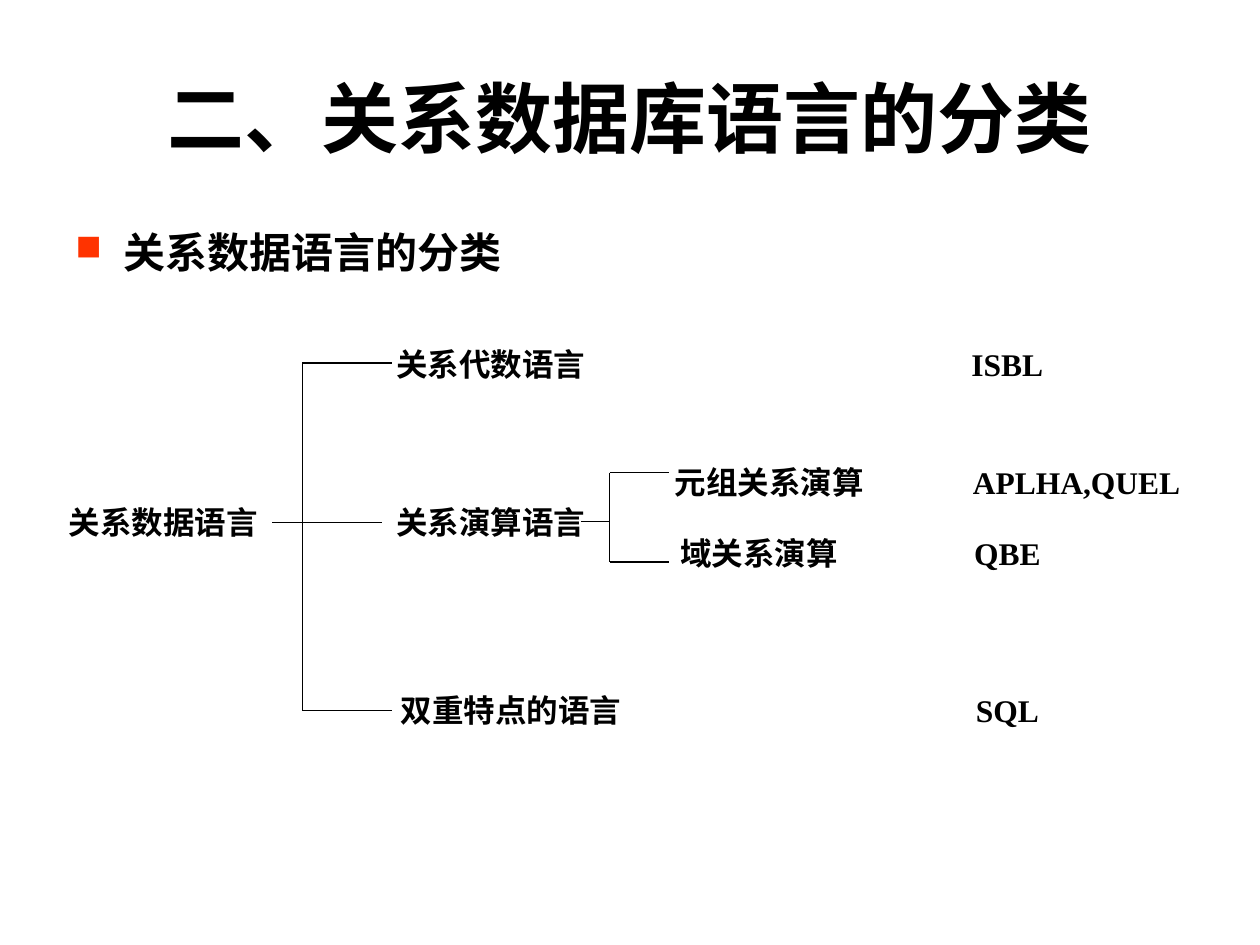
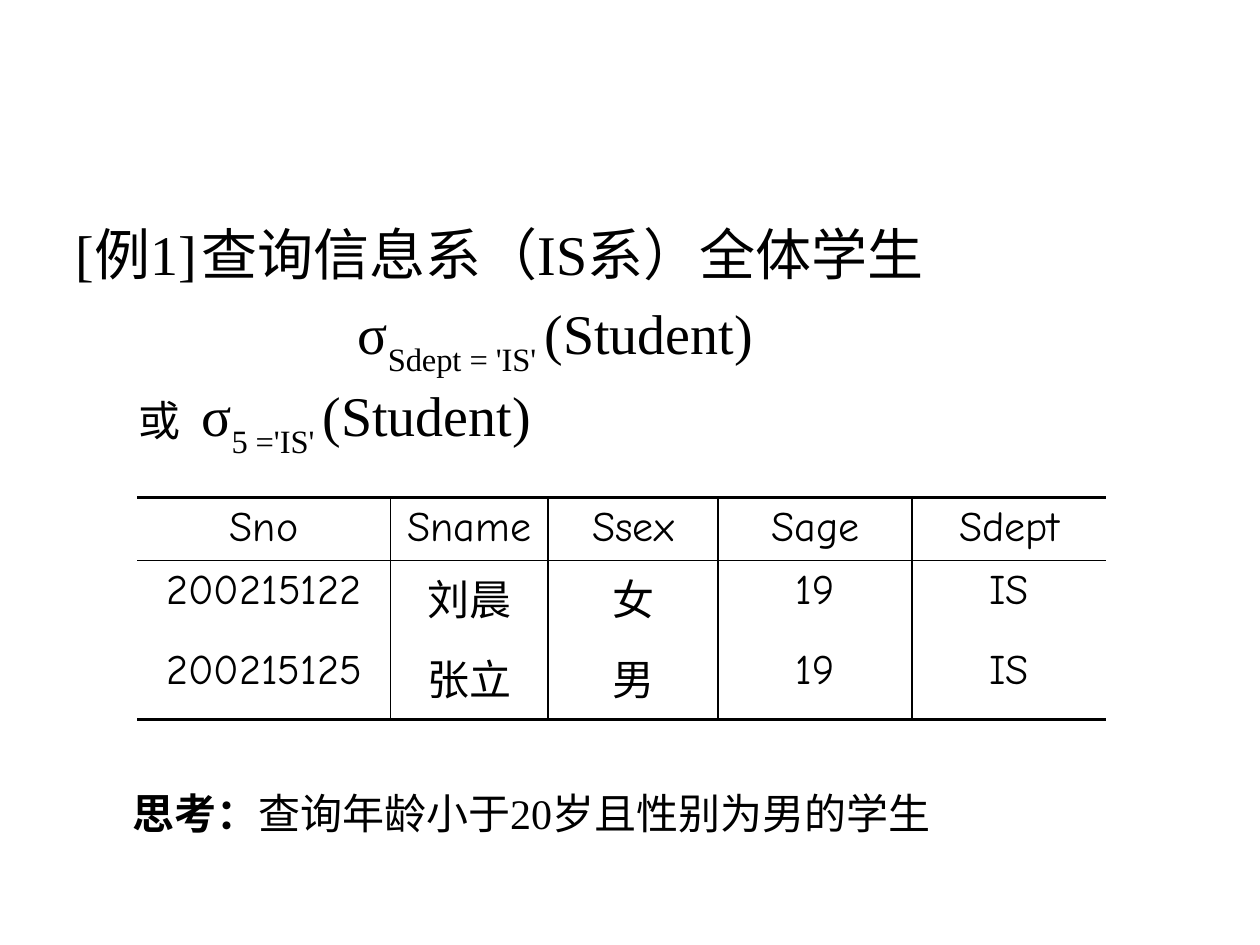
from lxml import etree
from pptx import Presentation
from pptx import util as u
from pptx.dml.color import RGBColor
from pptx.enum import shapes, text
from pptx.oxml import ns

BLACK = RGBColor(0x00, 0x00, 0x00)
BULLET_RED = RGBColor(0xFF, 0x33, 0x00)
SERIF, SANS, HAND = "Times New Roman", "Arial", "Comic Neue"
NO_TABLE_STYLE = "{2D5ABB26-0587-4C30-8999-92F81FD0307C}"
SUBSCRIPT = "-30000"

TITLE = "二、关系数据库语言的分类"
TOPIC = "关系数据语言的分类"
ROOT, CALCULUS = "关系数据语言", "关系演算语言"
LABEL_WIDTH, WIDE_LABEL, LABEL_HEIGHT = 1.73, 1.93, 0.63
LABELS = [
    (ROOT, 0.43, 3.83, LABEL_WIDTH),
    ("关系代数语言", 3.03, 2.57, LABEL_WIDTH),
    (CALCULUS, 3.03, 3.83, LABEL_WIDTH),
    ("双重特点的语言", 3.09, 5.32, WIDE_LABEL),
    ("元组关系演算", 5.24, 3.51, LABEL_WIDTH),
    ("域关系演算", 5.16, 4.07, LABEL_WIDTH),
    ("ISBL", 7.13, 2.57, LABEL_WIDTH),
    ("APLHA,QUEL", 7.58, 3.51, WIDE_LABEL),
    ("QBE", 7.13, 4.07, LABEL_WIDTH),
    ("SQL", 7.13, 5.32, LABEL_WIDTH),
]
BRACKETS = [(2.4, 3.11, 2.88, 5.64), (4.84, 5.31, 3.75, 4.46)]
CALCULUS_STEM = (4.61, 4.14, 4.84, 4.14)

EXAMPLE = [
    (0, [1.5], [("[例1]\t查询信息系（IS系）全体学生", 32, None)]),
    (2.24, [], [("σ", 32, None), ("Sdept = 'IS' ", 32, SUBSCRIPT),
                ("(Student)", 32, None)]),
    (0, [1.37, 2.32], [("\t或", 24, None), ("\tσ", 32, None),
                       ("5 ='IS' ", 32, SUBSCRIPT), ("(Student)", 32, None)]),
]
STUDENTS = [
    ("Sno", "Sname", "Ssex", "Sage", "Sdept"),
    ("200215122", "刘晨", "女", "19", "IS"),
    ("200215125", "张立", "男", "19", "IS"),
]
COLUMN_WIDTHS = (2.01, 1.25, 1.35, 1.54, 1.54)
ROW_HEIGHTS = (0.48, 0.63, 0.63)
EXERCISE = [("思考：", True), ("查询年龄小于20岁且性别为男的学生", False)]


def style(font, size, name=SERIF, bold=False):
    font.size, font.name, font.bold = u.Pt(size), name, bold
    font.color.rgb = BLACK


def add_text_frame(slide, left, top, width, height):
    box = slide.shapes.add_textbox(*map(u.Inches, (left, top, width, height)))
    box.text_frame.word_wrap = True
    return box, box.text_frame


def add_line(slide, x1, y1, x2, y2):
    line = slide.shapes.add_connector(
        shapes.MSO_CONNECTOR.STRAIGHT, *map(u.Inches, (x1, y1, x2, y2)))
    line.line.color.rgb = BLACK
    line.line.width = u.Pt(0.75)
    etree.SubElement(line._element.spPr, ns.qn("a:effectLst"))
    return line


def set_indent(paragraph, margin, first, tabs=()):
    props = paragraph._p.get_or_add_pPr()
    props.set("marL", str(u.Inches(margin)))
    props.set("indent", str(u.Inches(first)))
    if tabs:
        stops = etree.SubElement(props, ns.qn("a:tabLst"))
        for stop in tabs:
            etree.SubElement(stops, ns.qn("a:tab"), pos=str(u.Inches(stop)), algn="l")


def add_bullet(paragraph):
    props = paragraph._p.get_or_add_pPr()
    colour = etree.SubElement(props, ns.qn("a:buClr"))
    etree.SubElement(colour, ns.qn("a:srgbClr"), val=str(BULLET_RED))
    etree.SubElement(props, ns.qn("a:buSzPct"), val="85000")
    etree.SubElement(props, ns.qn("a:buChar"), char="■")


def set_borders(cell, widths):
    props = cell._tc.get_or_add_tcPr()
    for side in ("L", "R", "T", "B"):
        width = widths.get(side, 0)
        border = etree.SubElement(props, ns.qn(f"a:ln{side}"), w=str(u.Pt(width)))
        if width:
            fill = etree.SubElement(border, ns.qn("a:solidFill"))
            etree.SubElement(fill, ns.qn("a:srgbClr"), val=str(BLACK))
        else:
            etree.SubElement(border, ns.qn("a:noFill"))


def build_classification(slide):
    title = slide.shapes.title
    title.left, title.top, title.width, title.height = map(
        u.Inches, (0.5, 0.3, 9, 1.25))
    title.text_frame.text = TITLE
    title.text_frame.vertical_anchor = text.MSO_ANCHOR.MIDDLE
    heading = title.text_frame.paragraphs[0]
    heading.alignment = text.PP_ALIGN.CENTER
    style(heading.font, 44, SANS, True)

    _, frame = add_text_frame(slide, 0.5, 1.75, 9, 0.6)
    topic = frame.paragraphs[0]
    topic.text = TOPIC
    topic.space_before = u.Pt(4.8)
    set_indent(topic, 0.38, -0.38)
    add_bullet(topic)
    style(topic.font, 24, bold=True)

    nodes = {}
    for label, left, top, width in LABELS:
        nodes[label], frame = add_text_frame(slide, left, top, width, LABEL_HEIGHT)
        frame.margin_left = frame.margin_right = 0
        frame.vertical_anchor = text.MSO_ANCHOR.MIDDLE
        frame.text = label
        frame.paragraphs[0].alignment = text.PP_ALIGN.CENTER
        style(frame.paragraphs[0].font, 18, bold=True)

    for spine, tip, top, bottom in BRACKETS:
        add_line(slide, spine, top, spine, bottom)
        for y in (top, bottom):
            add_line(slide, spine, y, tip, y)
    add_line(slide, *CALCULUS_STEM)
    trunk = add_line(slide, 2.16, 4.14, 3.03, 4.14)
    trunk.begin_connect(nodes[ROOT], 3)
    trunk.end_connect(nodes[CALCULUS], 1)


def add_students(slide):
    last = len(STUDENTS) - 1
    frame = slide.shapes.add_table(
        len(STUDENTS), len(COLUMN_WIDTHS), u.Inches(1.09), u.Inches(3.95),
        u.Inches(sum(COLUMN_WIDTHS)), u.Inches(sum(ROW_HEIGHTS)))
    table = frame.table
    table.horz_banding = table.first_row = False
    table._tbl.tblPr.find(ns.qn("a:tableStyleId")).text = NO_TABLE_STYLE
    for column, width in zip(table.columns, COLUMN_WIDTHS):
        column.width = u.Inches(width)
    for r, (row, height) in enumerate(zip(STUDENTS, ROW_HEIGHTS)):
        table.rows[r].height = u.Inches(height)
        for c, value in enumerate(row):
            cell = table.cell(r, c)
            set_borders(cell, {
                "L": 1 if c else 0,
                "R": 1 if c < len(row) - 1 else 0,
                "T": (2.25, 1, 0)[r],
                "B": 2.25 if r == last else (1, 0)[r],
            })
            cell.fill.background()
            cell.text = value
            entry = cell.text_frame.paragraphs[0]
            entry.alignment = text.PP_ALIGN.CENTER
            entry.space_before = u.Pt(4.8)
            style(entry.font, 24, HAND)


def build_selection(slide):
    _, frame = add_text_frame(slide, 0.5, 1.75, 9, 2.1)
    for i, (indent, tabs, pieces) in enumerate(EXAMPLE):
        line = frame.paragraphs[0] if i == 0 else frame.add_paragraph()
        line.line_spacing = 0.9
        line.space_before = u.Pt(6.4)
        set_indent(line, 0, indent, tabs)
        for piece, size, baseline in pieces:
            run = line.add_run()
            run.text = piece
            style(run.font, size)
            if baseline:
                run._r.get_or_add_rPr().set("baseline", baseline)

    add_students(slide)

    _, frame = add_text_frame(slide, 0.95, 6.2, 6.6, 0.9)
    for piece, bold in EXERCISE:
        run = frame.paragraphs[0].add_run()
        run.text = piece
        style(run.font, 24, bold=bold)


def main():
    deck = Presentation()
    deck.slide_width, deck.slide_height = u.Inches(10), u.Inches(7.5)
    title_only, blank = deck.slide_layouts[5], deck.slide_layouts[6]
    build_classification(deck.slides.add_slide(title_only))
    build_selection(deck.slides.add_slide(blank))
    deck.save("out.pptx")


if __name__ == "__main__":
    main()
